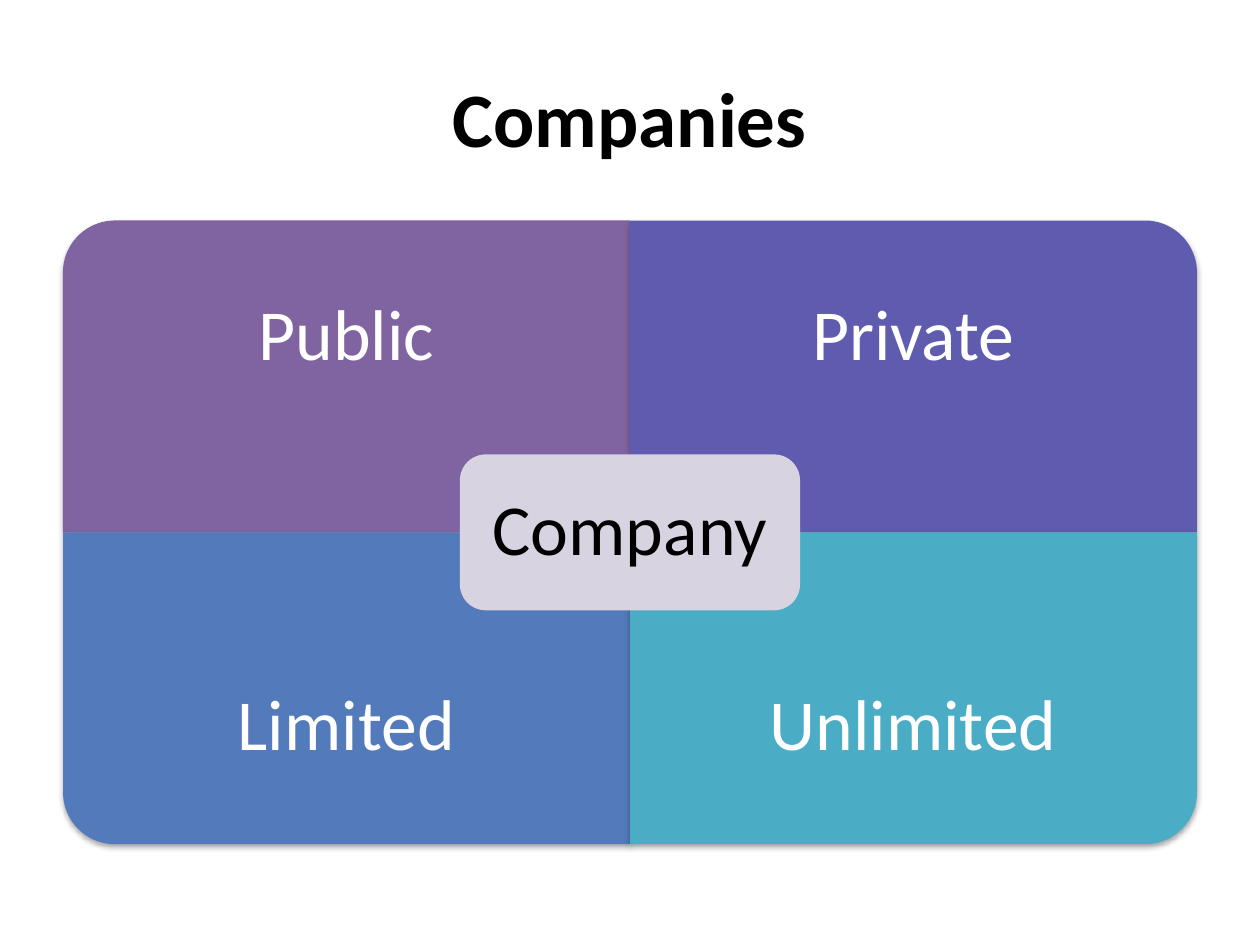
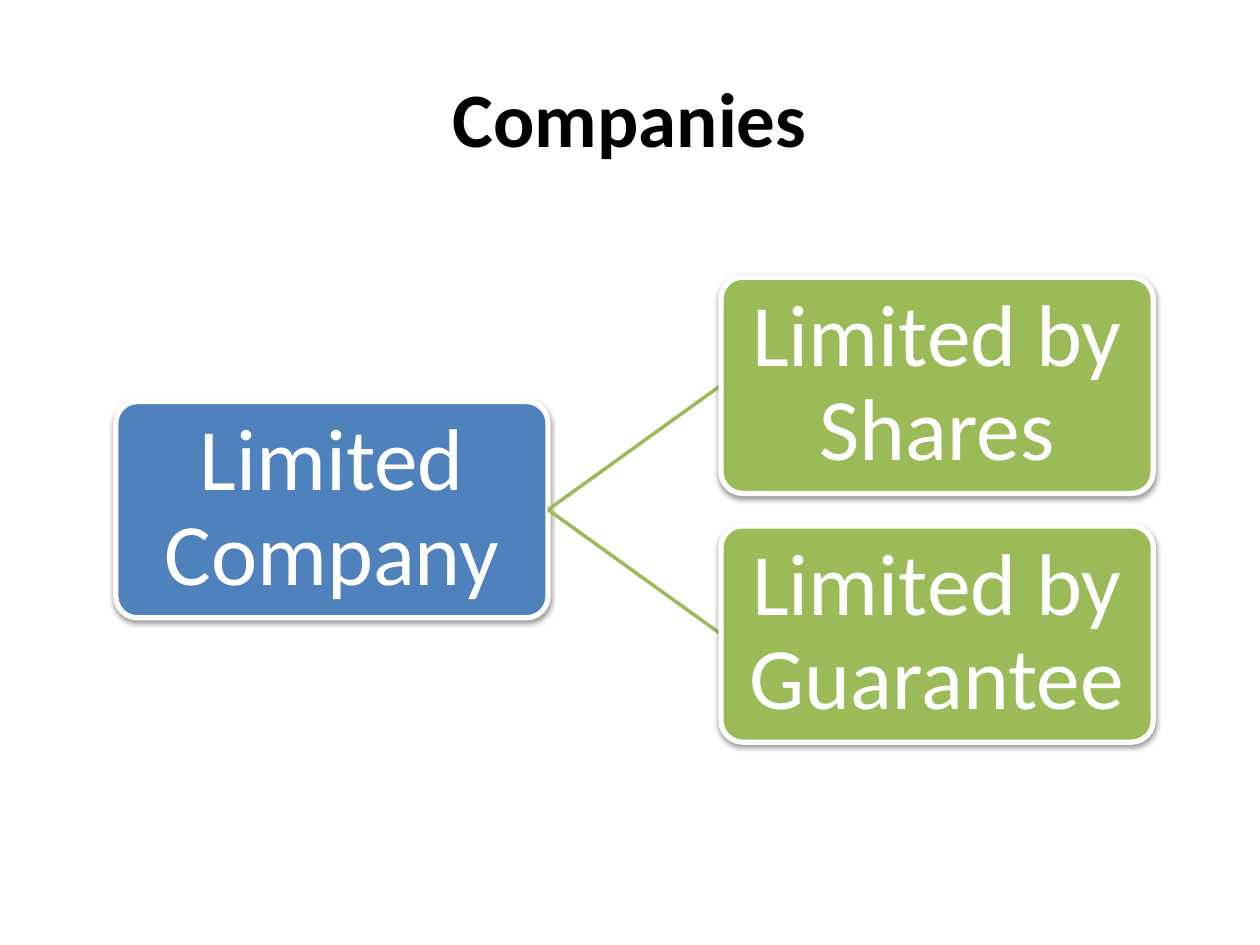
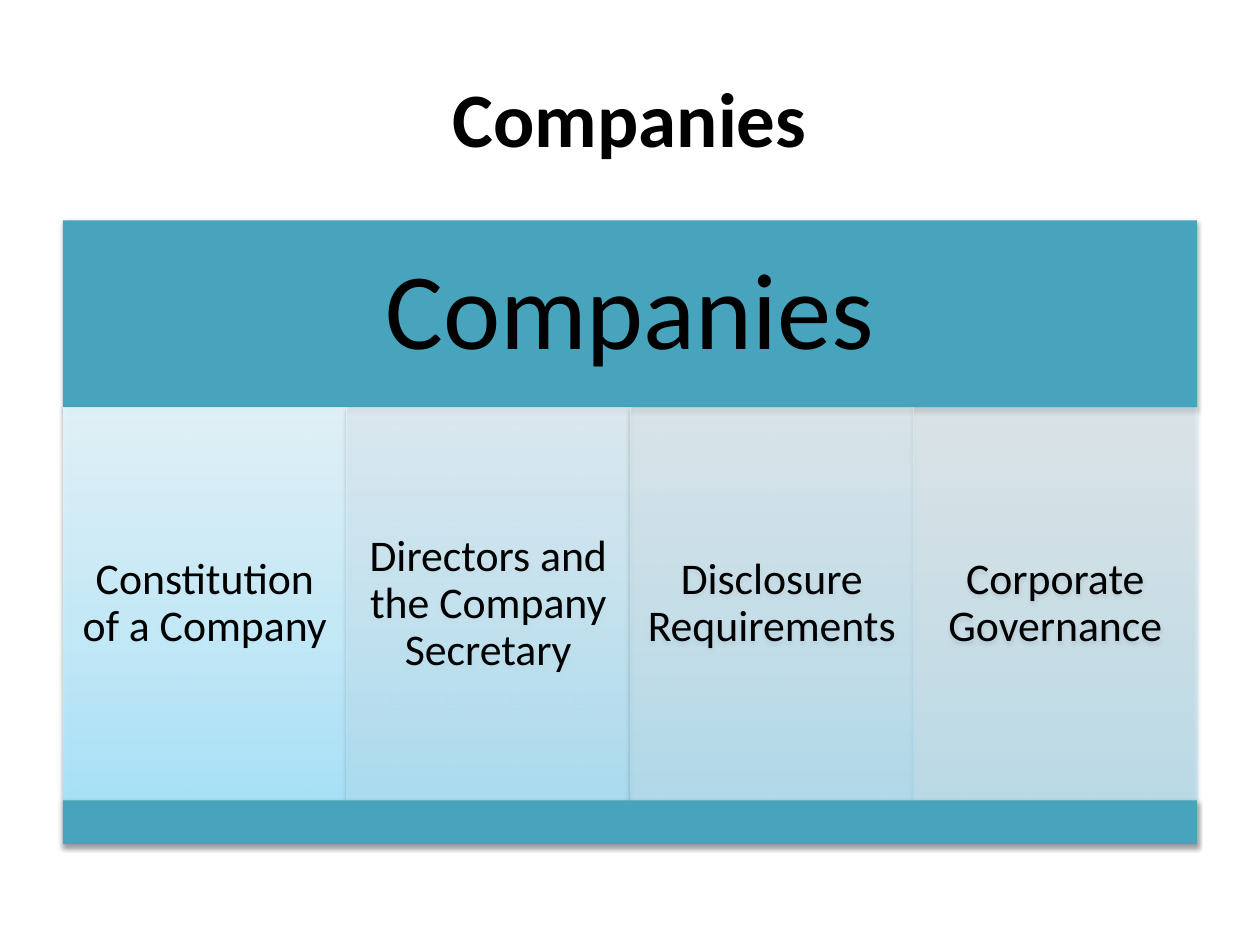
from lxml.etree import SubElement
from pptx import Presentation
from pptx.dml.color import RGBColor
from pptx.enum.shapes import MSO_CONNECTOR as Connector, MSO_SHAPE as Preset
from pptx.enum.text import MSO_ANCHOR as Anchor, PP_ALIGN as Align
from pptx.oxml.ns import qn
from pptx.util import Pt

BLACK, WHITE = "000000", "FFFFFF"
BLUE, GREEN, TEAL = "4F81BD", "9BBB59", "48A4BD"
LEFT, TOP, WIDTH, HEIGHT = 36, 126, 648, 356.4
CENTER_X, CENTER_Y = LEFT + WIDTH / 2, TOP + HEIGHT / 2


def color(value):
    return RGBColor.from_string(value)


def add_color(parent, value, alpha):
    node = SubElement(parent, qn("a:srgbClr"), val=value)
    SubElement(node, qn("a:alpha"), val=str(alpha * 1000))


class Deck:
    font = "Calibri"
    title_size = 44
    gradient = ((0, "A7E6FF"), (35, "C1EDFF"), (100, "E7F8FF"))

    def __init__(self):
        self.presentation = Presentation()
        self.presentation.slide_width = Pt(720)
        self.presentation.slide_height = Pt(540)
        self.slide = None

    def new_slide(self, title):
        layout = self.presentation.slide_layouts[6]
        self.slide = self.presentation.slides.add_slide(layout)
        self.text_box(title, (LEFT, 21.6, WIDTH, 90), self.title_size, BLACK,
                      margin=3.6, bold=True, spacing=1)

    def label(self, shape, text, size, text_color, margin, bold=False, spacing=0.9):
        frame = shape.text_frame
        frame.text = text
        frame.word_wrap = True
        frame.vertical_anchor = Anchor.MIDDLE
        frame.margin_left = frame.margin_right = Pt(margin)
        frame.margin_top = frame.margin_bottom = Pt(margin)
        for paragraph in frame.paragraphs:
            paragraph.alignment = Align.CENTER
            paragraph.line_spacing = spacing
            for run in paragraph.runs:
                run.font.name = self.font
                run.font.size = Pt(size)
                run.font.bold = bold
                run.font.color.rgb = color(text_color)

    def text_box(self, text, box, size, text_color, margin, **style):
        shape = self.slide.shapes.add_textbox(*map(Pt, box))
        self.label(shape, text, size, text_color, margin, **style)

    def shape(self, preset, box, fill=None, outline=None, shadow=38, distance=1.6):
        shape = self.slide.shapes.add_shape(preset, *map(Pt, box))
        if fill:
            shape.fill.solid()
            shape.fill.fore_color.rgb = color(fill)
        if outline:
            shape.line.color.rgb = color(outline)
            shape.line.width = Pt(3)
        else:
            shape.line.fill.background()
        shape.shadow.inherit = False
        if shadow:
            effects = shape.element.spPr.find(qn("a:effectLst"))
            outer = SubElement(effects, qn("a:outerShdw"), blurRad=str(Pt(3.1)),
                               dist=str(Pt(distance)), dir="5400000", rotWithShape="0")
            add_color(outer, BLACK, shadow)
        return shape

    def quadrant(self, text, column, row, fill, rotation):
        width, height = WIDTH / 2, HEIGHT / 2
        left, top = LEFT + column * width, TOP + row * height
        box = left, top, width, height
        if rotation % 180:
            box = left + (width - height) / 2, top + (height - width) / 2, height, width
        shape = self.shape(Preset.ROUND_1_RECTANGLE, box, fill, shadow=35, distance=1.8)
        shape.rotation = rotation
        text_top = top + row * height / 4
        self.text_box(text, (left, text_top, width, height * 0.75), 41, WHITE, 23)

    def node(self, text, box, fill):
        shape = self.shape(Preset.ROUNDED_RECTANGLE, box, fill, outline=WHITE)
        shape.adjustments[0] = 0.1
        self.label(shape, text, 50, WHITE, 2.3)

    def link(self, start, end):
        connector = self.slide.shapes.add_connector(
            Connector.STRAIGHT, *map(Pt, (*start, *end)))
        connector.line.color.rgb = color(GREEN)
        connector.line.width = Pt(2)
        SubElement(connector.element.spPr, qn("a:effectLst"))

    def pillar(self, text, box, alpha):
        shape = self.shape(Preset.RECTANGLE, box)
        shape.fill.gradient()
        shape.fill.gradient_angle = 90
        stops = shape.element.spPr.find(qn("a:gradFill")).find(qn("a:gsLst"))
        stops.clear()
        for position, value in self.gradient:
            stop = SubElement(stops, qn("a:gs"), pos=str(position * 1000))
            add_color(stop, value, alpha)
        self.label(shape, text, 25, BLACK, 7)


def company_types(deck):
    deck.new_slide("Companies")
    deck.quadrant("Public", 0, 0, "8064A2", 270)
    deck.quadrant("Private", 1, 0, "5F5BAE", 0)
    deck.quadrant("Limited", 0, 1, "537ABA", 180)
    deck.quadrant("Unlimited", 1, 1, "4BACC6", 90)
    width, height = WIDTH * 0.3, HEIGHT / 4
    box = CENTER_X - width / 2, CENTER_Y - height / 2, width, height
    hub = deck.shape(Preset.ROUNDED_RECTANGLE, box, "D8D3E0", shadow=None)
    deck.label(hub, "Company", 41, BLACK, 12.3)


def limited_companies(deck):
    deck.new_slide("Companies")
    left, top, width, height = 66.2, 158.4, 247, 123.6
    pitch = height * 1.15
    parent_top = top + pitch / 2
    child_left = left + width * 1.4
    deck.node("Limited Company", (left, parent_top, width, height), BLUE)
    for index, text in enumerate(("Limited by Shares", "Limited by Guarantee")):
        child_top = top + index * pitch
        deck.link((left + width, parent_top + height / 2),
                  (child_left, child_top + height / 2))
        deck.node(text, (child_left, child_top, width, height), GREEN)


def company_topics(deck):
    deck.new_slide("Companies")
    header_height, pillar_height = HEIGHT * 0.3, HEIGHT * 0.63
    pillar_top = TOP + header_height
    base_top = pillar_top + pillar_height
    header = deck.shape(Preset.RECTANGLE, (LEFT, TOP, WIDTH, header_height), TEAL)
    deck.label(header, "Companies", 62, BLACK, 18.6)
    topics = (
        ("Constitution of a Company", 90),
        ("Directors and the Company Secretary", 77),
        ("Disclosure Requirements", 63),
        ("Corporate Governance", 50),
    )
    width = WIDTH / len(topics)
    for index, (text, alpha) in enumerate(topics):
        deck.pillar(text, (LEFT + index * width, pillar_top, width, pillar_height), alpha)
    deck.shape(Preset.RECTANGLE, (LEFT, base_top, WIDTH, HEIGHT * 0.07), TEAL)


deck = Deck()
company_types(deck)
limited_companies(deck)
company_topics(deck)
deck.presentation.save("out.pptx")
